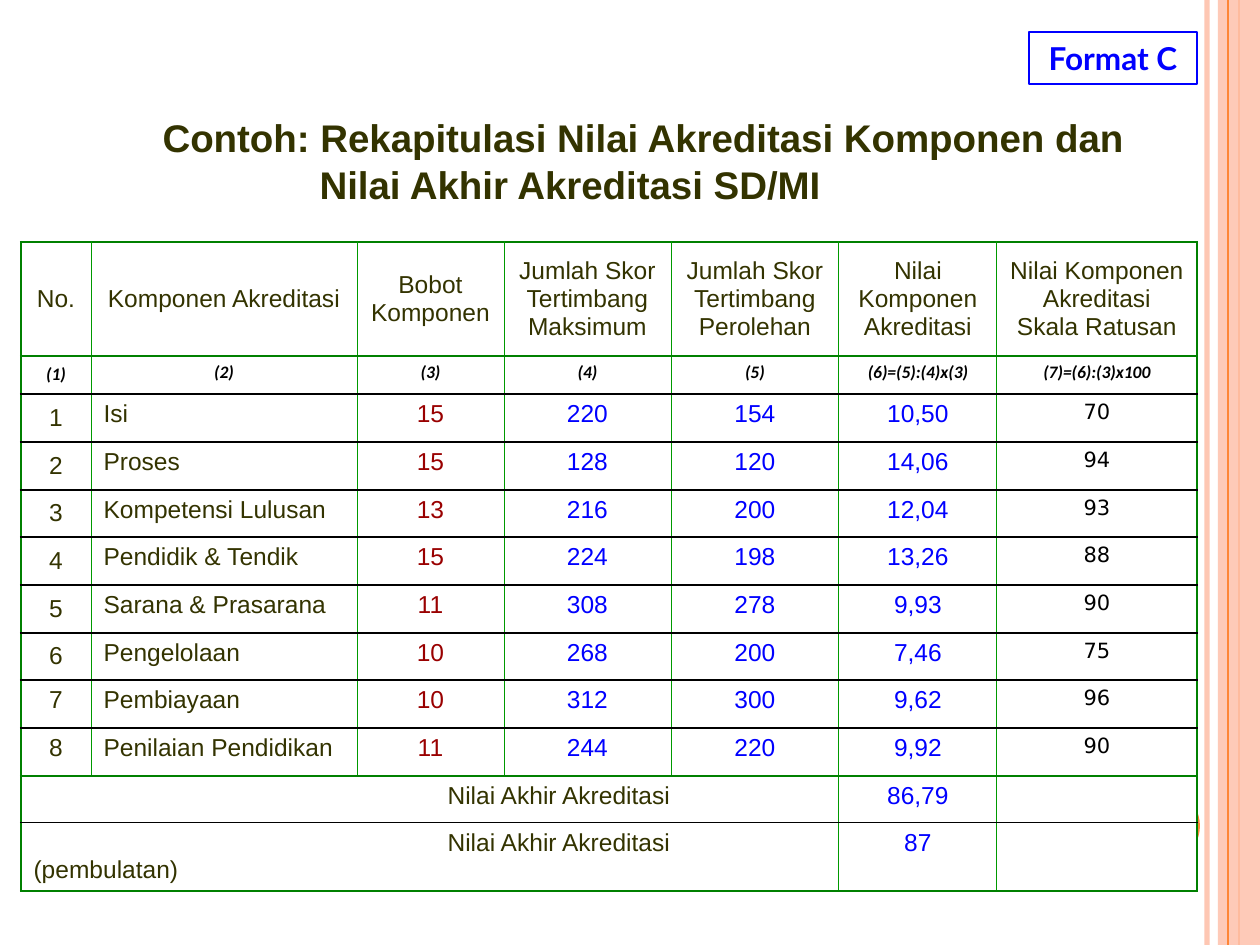
from dataclasses import dataclass
from itertools import pairwise
from typing import NamedTuple

from lxml import etree
from pptx import Presentation, util as u
from pptx.dml.color import RGBColor
from pptx.enum import shapes, text
from pptx.oxml.ns import qn

PX = 914400 / 126
CENTER, LEFT = text.PP_ALIGN.CENTER, text.PP_ALIGN.LEFT
MIDDLE, TOP = text.MSO_ANCHOR.MIDDLE, text.MSO_ANCHOR.TOP


class Style(NamedTuple):
    size: int
    name: str
    color: str
    bold: bool = False
    italic: bool = False


@dataclass(frozen=True)
class Theme:
    white: str = "FFFFFF"
    peach: str = "FEC3AE"
    orange: str = "FE8637"
    blue: str = "0000FF"
    frame: str = "008000"
    column: str = "009900"
    row: str = "000000"
    title: Style = Style(22, "Arial", "333300", bold=True)
    badge: Style = Style(18, "Lato", "0000FF", bold=True)
    body: Style = Style(14, "Arial", "333300")
    weight: Style = Style(14, "Arial", "990000")
    score: Style = Style(14, "Arial", "0000FF")
    scaled: Style = Style(12, "DejaVu Sans", "000000")
    formula: Style = Style(10, "Calibri", "000000", bold=True, italic=True)


class Stripe(NamedTuple):
    x: int
    color: str
    width: float
    opacity: int = 100


class Box(NamedTuple):
    x: int
    y: int
    w: int
    h: int


T = Theme()
STRIPES = [Stripe(1207, T.peach, 3, 93), Stripe(1239, T.orange, 1.5)]
BAND = Box(1218, 0, 42, 945)
BAND_LINE = Stripe(1228, T.orange, 0.75)
DOT = Box(1124, 788, 76, 76)
TITLE = Box(116, 105, 1050, 111)
BADGE = Box(1029, 32, 168, 52)
TITLE_LINES = [("Contoh: Rekapitulasi Nilai Akreditasi Komponen dan", 34),
               ("Nilai Akhir Akreditasi SD/MI", 191)]
COLUMN_EDGES = [21, 91, 357, 504, 671, 839, 997, 1197]
ROW_EDGES = [242, 356, 394, 442, 490, 537, 585, 633, 680, 728, 776, 823, 891]
FRAME_ROWS = {0, 1, 2 + 8, 12}
TOTAL_INDENT = 414
HEADERS = ["No.", "Komponen Akreditasi", "Bobot Komponen",
           "Jumlah Skor Tertimbang Maksimum", "Jumlah Skor Tertimbang Perolehan",
           "Nilai Komponen Akreditasi", "Nilai Komponen Akreditasi Skala Ratusan"]
FORMULAS = ["(1)", "(2)", "(3)", "(4)", "(5)", "(6)=(5):(4)x(3)", "(7)=(6):(3)x100"]
COMPONENTS = [
    ("Isi", "15", "220", "154", "10,50", "70"),
    ("Proses", "15", "128", "120", "14,06", "94"),
    ("Kompetensi Lulusan", "13", "216", "200", "12,04", "93"),
    ("Pendidik & Tendik", "15", "224", "198", "13,26", "88"),
    ("Sarana & Prasarana", "11", "308", "278", "9,93", "90"),
    ("Pengelolaan", "10", "268", "200", "7,46", "75"),
    ("Pembiayaan", "10", "312", "300", "9,62", "96"),
    ("Penilaian Pendidikan", "11", "244", "220", "9,92", "90"),
]
COLUMN_STYLES = [T.body, T.body, T.weight, T.score, T.score, T.score, T.scaled]
TOTALS = [(["Nilai Akhir Akreditasi"], "86,79"),
          (["Nilai Akhir Akreditasi", "(pembulatan)"], "87")]


def px(n: float) -> int:
    return round(n * PX)


def rgb(color: str) -> RGBColor:
    return RGBColor.from_string(color)


def set_opacity(fill_parent, percent: int) -> None:
    clr = next(fill_parent.iter(qn("a:srgbClr")))
    etree.SubElement(clr, qn("a:alpha"), val=str(percent * 1000))


def write(p, lines: list[str], style: Style, align=LEFT, **indents: str) -> None:
    """Fill a paragraph, with a line break between the given lines."""
    p.alignment = align
    for key, value in indents.items():
        p._p.get_or_add_pPr().set(key, value)
    for i, line in enumerate(lines):
        if i:
            p.add_line_break()
        r = p.add_run()
        r.text = line
        formats = {"size": u.Pt(style.size), "name": style.name,
                   "bold": style.bold, "italic": style.italic}
        for key, value in formats.items():
            setattr(r.font, key, value)
        r.font.color.rgb = rgb(style.color)


def draw_stripe(s, stripe: Stripe) -> None:
    c = s.shapes.add_connector(shapes.MSO_CONNECTOR.STRAIGHT,
                               px(stripe.x), 0, px(stripe.x), px(945))
    c.line.color.rgb = rgb(stripe.color)
    c.line.width = u.Pt(stripe.width)
    if stripe.opacity < 100:
        set_opacity(c.line._ln, stripe.opacity)
    etree.SubElement(c._element.spPr, qn("a:effectLst"))


def draw_shape(s, kind, box: Box, fill: str | None = None, line: str | None = None):
    sp = s.shapes.add_shape(kind, *map(px, box))
    sp.shadow.inherit = False
    if fill:
        sp.fill.solid()
        sp.fill.fore_color.rgb = rgb(fill)
    else:
        sp.fill.background()
    if line:
        sp.line.color.rgb = rgb(line)
        sp.line.width = u.Pt(0.75)
    else:
        sp.line.fill.background()
    return sp


def draw_title(s) -> None:
    sp = s.shapes.title
    for key, value in zip(("left", "top", "width", "height"), TITLE):
        setattr(sp, key, px(value))
    tf = sp.text_frame
    formats = {"word_wrap": True, "auto_size": text.MSO_AUTO_SIZE.NONE,
               "vertical_anchor": MIDDLE}
    for key, value in formats.items():
        setattr(tf, key, value)
    for i, (line, indent) in enumerate(TITLE_LINES):
        p = tf.add_paragraph() if i else tf.paragraphs[0]
        write(p, [line], T.title, marL=str(px(indent)), indent="0")


def add_border(cell, side: str, color: str, width: float) -> None:
    ln = etree.SubElement(cell._tc.get_or_add_tcPr(), qn(f"a:ln{side}"), w=str(u.Pt(width)))
    etree.SubElement(etree.SubElement(ln, qn("a:solidFill")), qn("a:srgbClr"), val=color)


def format_cell(cell, row: int, col: int) -> None:
    """Give a cell its rules, white fill and small empty-text size."""
    for side, edge in (("L", col), ("R", col + 1)):
        outer = edge in (0, len(COLUMN_EDGES) - 1)
        add_border(cell, side, *((T.frame, 1.5) if outer else (T.column, 0.5)))
    for side, edge in (("T", row), ("B", row + 1)):
        add_border(cell, side, *((T.frame, 1.5) if edge in FRAME_ROWS else (T.row, 1)))
    cell.fill.solid()
    cell.fill.fore_color.rgb = rgb(T.white)
    if not cell.text:
        etree.SubElement(cell.text_frame.paragraphs[0]._p, qn("a:endParaRPr"),
                         sz=str(T.body.size * 100))


def draw_table(s) -> None:
    x, y = COLUMN_EDGES[0], ROW_EDGES[0]
    box = Box(x, y, COLUMN_EDGES[-1] - x, ROW_EDGES[-1] - y)
    table = s.shapes.add_table(len(ROW_EDGES) - 1, len(COLUMN_EDGES) - 1, *map(px, box)).table
    table.first_row = table.horz_banding = False
    for column, (a, b) in zip(table.columns, pairwise(COLUMN_EDGES)):
        column.width = px(b - a)
    for row, (a, b) in zip(table.rows, pairwise(ROW_EDGES)):
        row.height = px(b - a)

    def put(row: int, col: int, value: str, style: Style, align=CENTER, anchor=TOP) -> None:
        cell = table.cell(row, col)
        cell.vertical_anchor = anchor
        write(cell.text_frame.paragraphs[0], [value], style, align)

    for col, (header, formula) in enumerate(zip(HEADERS, FORMULAS)):
        put(0, col, header, T.body, anchor=MIDDLE)
        put(1, col, formula, T.formula, anchor=TOP if col else MIDDLE)
    for n, component in enumerate(COMPONENTS, 1):
        for col, value in enumerate((str(n), *component)):
            put(n + 1, col, value, COLUMN_STYLES[col], LEFT if col == 1 else CENTER,
                MIDDLE if col == 0 and n <= 6 else TOP)
    for row, (lines, total) in enumerate(TOTALS, 2 + len(COMPONENTS)):
        label = table.cell(row, 0)
        label.merge(table.cell(row, 4))
        write(label.text_frame.paragraphs[0], lines, T.body, marL="0",
              indent=str(px(TOTAL_INDENT)))
        put(row, 5, total, T.score)
    for row in range(len(table.rows)):
        for col in range(len(table.columns)):
            format_cell(table.cell(row, col), row, col)


def main() -> None:
    prs = Presentation()
    prs.slide_width, prs.slide_height = px(1260), px(945)
    s = prs.slides.add_slide(prs.slide_layouts[5])
    for stripe in STRIPES:
        draw_stripe(s, stripe)
    band = draw_shape(s, shapes.MSO_SHAPE.RECTANGLE, BAND, T.peach)
    set_opacity(band._element.spPr, 87)
    draw_stripe(s, BAND_LINE)
    draw_shape(s, shapes.MSO_SHAPE.OVAL, DOT, T.orange)
    draw_table(s)
    draw_title(s)
    badge = draw_shape(s, shapes.MSO_SHAPE.RECTANGLE, BADGE, line=T.blue)
    badge.text_frame.vertical_anchor = MIDDLE
    write(badge.text_frame.paragraphs[0], ["Format C"], T.badge, CENTER)
    prs.save("out.pptx")


if __name__ == "__main__":
    main()
